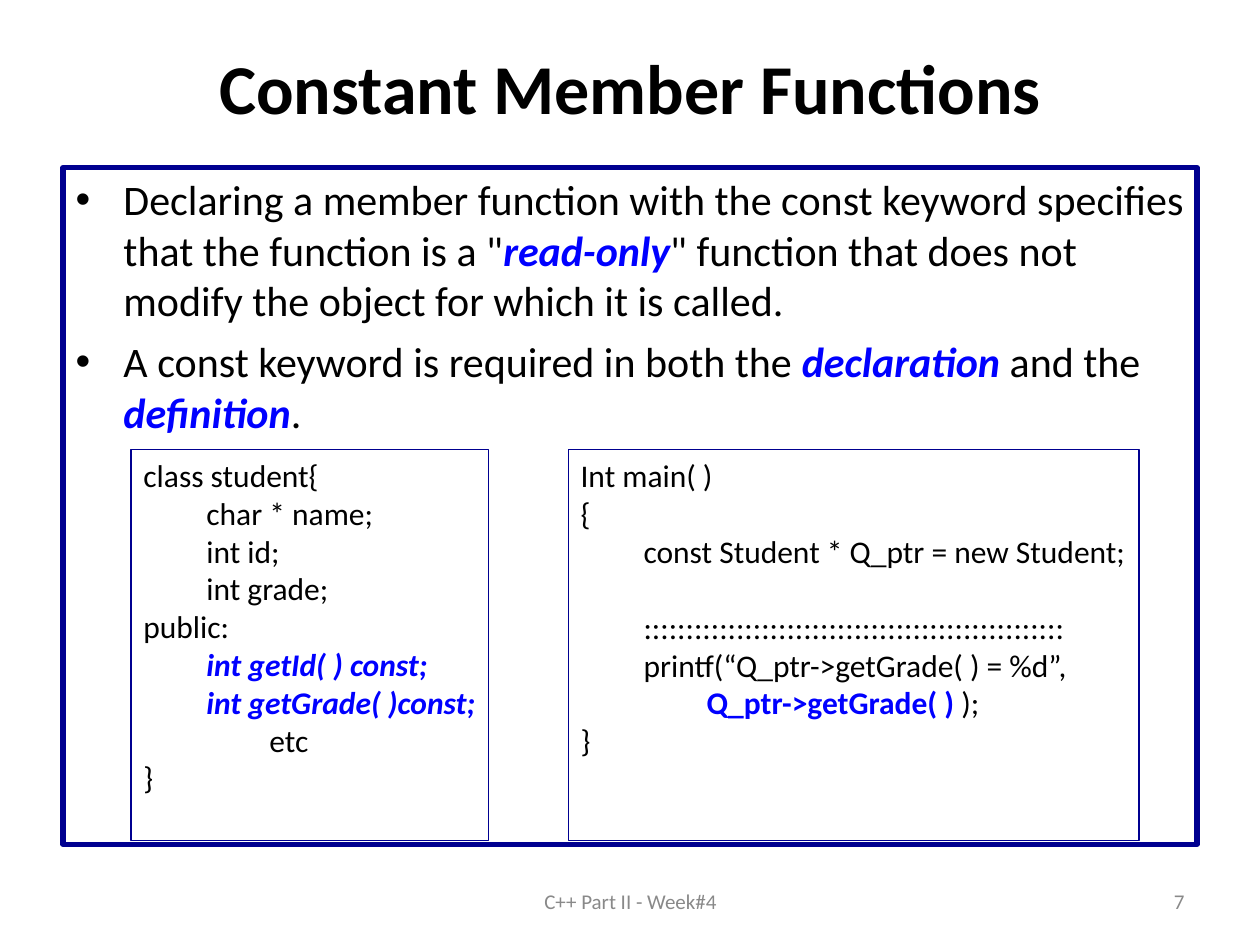
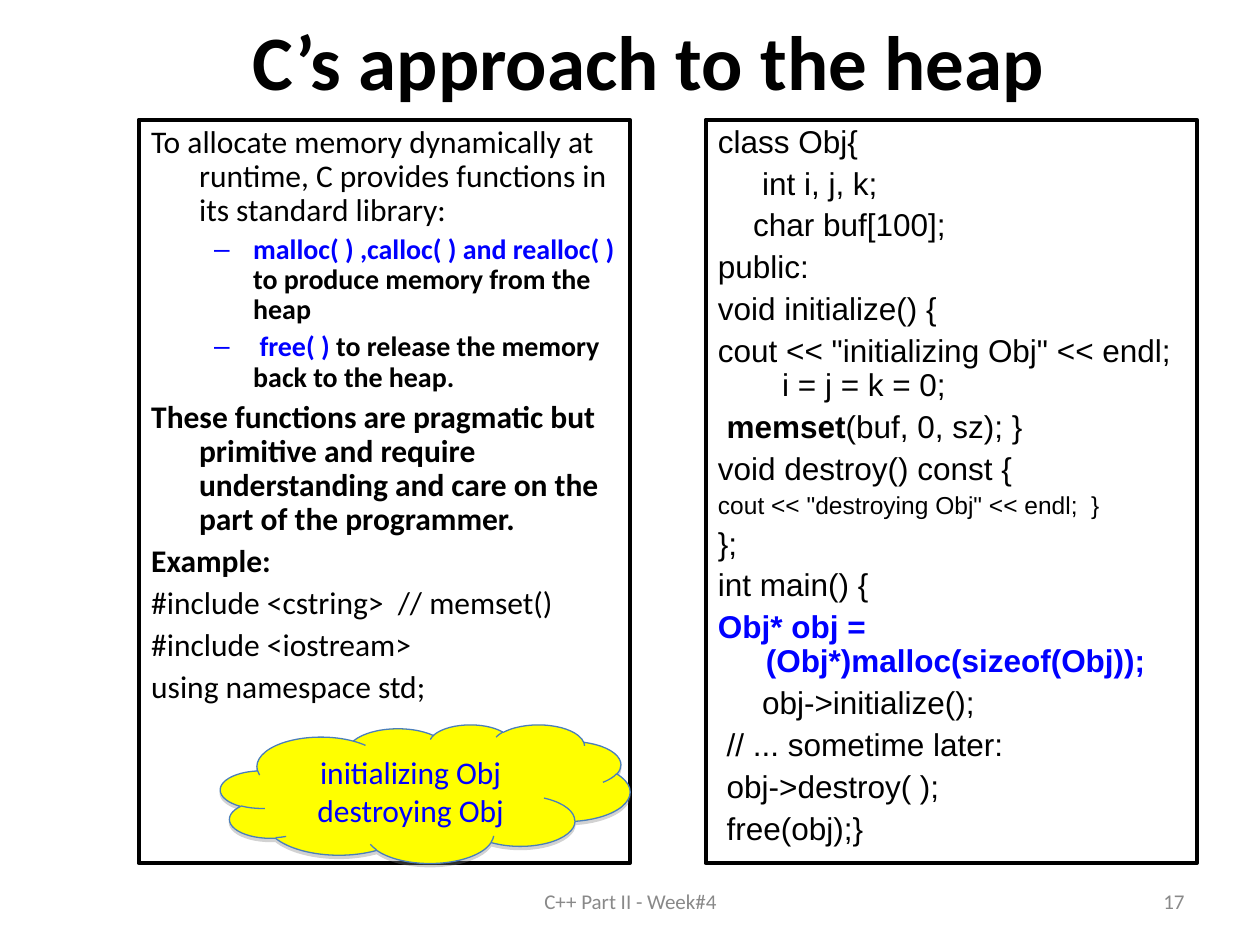
from dataclasses import dataclass

from lxml.etree import SubElement
from pptx import Presentation
from pptx.dml.color import RGBColor
from pptx.enum.shapes import MSO_SHAPE as Preset
from pptx.enum.text import MSO_ANCHOR as Anchor, MSO_AUTO_SIZE as AutoSize, PP_ALIGN as Align
from pptx.oxml import parse_xml
from pptx.oxml.ns import nsdecls, qn
from pptx.util import Inches, Pt

BLACK = RGBColor(0x00, 0x00, 0x00)
BLUE = RGBColor(0x00, 0x00, 0xFF)
NAVY = RGBColor(0x00, 0x00, 0x90)
GRAY = RGBColor(0x89, 0x89, 0x89)
YELLOW = RGBColor(0xFF, 0xFF, 0x00)
CLOUD_EDGE = RGBColor(0x4A, 0x7E, 0xBB)

TAB = 0.5
HANG = 0.38
FOOTER = "C++ Part II - Week#4"
TITLE_AND_CONTENT = 1


@dataclass
class Line:
    spans: list
    size: float = 18
    left: float = 0
    first: float = 0
    before: float = 0
    spacing: float = 1.0
    bullet: str = ""
    bullet_color: RGBColor = BLACK
    align: Align = Align.LEFT
    color: RGBColor = BLACK
    font: str = "Calibri"


def bullet_line(*spans):
    return Line(spans, size=24, left=HANG, first=-HANG, before=6, bullet="•")


def code_line(tabs, *spans, before=0):
    return Line(spans, left=tabs * TAB, before=before)


def hanging_line(*spans, start=0, size=18, before=4.5, font="Calibri"):
    return Line(spans, size=size, left=HANG, first=start - HANG,
                before=before, spacing=0.9, font=font)


def listing_line(*spans, **options):
    return hanging_line(*spans, font="Arial", **options)


def dash_line(*spans):
    return Line(spans, size=16, left=0.81, first=-0.31, before=4,
                spacing=0.9, bullet="–", bullet_color=BLUE)


class Deck:
    def __init__(self):
        self.deck = Presentation()
        self.deck.slide_width = Inches(10)
        self.deck.slide_height = Inches(7.5)
        self.page = None

    def add_page(self, title, place, size, number):
        layout = self.deck.slide_layouts[TITLE_AND_CONTENT]
        self.page = self.deck.slides.add_slide(layout)
        box = self.page.shapes.title
        self.move(box, place)
        self.add_lines(box, [Line([(title, "b")], size=size, align=Align.CENTER)], Anchor.MIDDLE)
        self.footer(FOOTER, 3.42, 3.17, Align.CENTER)
        self.footer(number, 7.17, 2.33, Align.RIGHT)

    def move(self, box, place):
        box.left, box.top, box.width, box.height = map(Inches, place)

    def outline(self, box, color, width):
        box.line.color.rgb = color
        box.line.width = Pt(width)

    def footer(self, text, left, width, align):
        box = self.page.shapes.add_textbox(*map(Inches, (left, 6.95, width, 0.4)))
        self.add_lines(box, [Line([text], size=12, align=align, color=GRAY)], Anchor.MIDDLE)

    def body(self, place, color, width, lines):
        box = self.page.placeholders[1]
        self.move(box, place)
        self.outline(box, color, width)
        self.add_lines(box, lines)

    def frame(self, place, color, width, lines, wrap=True):
        box = self.page.shapes.add_shape(Preset.RECTANGLE, *map(Inches, place))
        box.shadow.inherit = False
        box.fill.background()
        self.outline(box, color, width)
        self.add_lines(box, lines, wrap=wrap)

    def cloud(self, place, lines):
        box = self.page.shapes.add_shape(Preset.CLOUD, *map(Inches, place))
        box.fill.solid()
        box.fill.fore_color.rgb = YELLOW
        self.outline(box, CLOUD_EDGE, 0.75)
        box._element.spPr.append(parse_xml(
            f'<a:effectLst {nsdecls("a")}><a:outerShdw dist="{Pt(1.8)}" dir="5400000">'
            '<a:srgbClr val="808080"><a:alpha val="35000"/></a:srgbClr>'
            '</a:outerShdw></a:effectLst>'))
        self.add_lines(box, lines, Anchor.MIDDLE)

    def add_lines(self, box, lines, anchor=Anchor.TOP, wrap=True):
        frame = box.text_frame
        frame.auto_size = AutoSize.NONE
        frame.word_wrap = wrap
        frame.vertical_anchor = anchor
        for index, line in enumerate(lines):
            para = frame.add_paragraph() if index else frame.paragraphs[0]
            self.format_paragraph(para, line)
            for span in line.spans:
                self.add_span(para, span, line)

    def format_paragraph(self, para, line):
        para.alignment = line.align
        para.line_spacing = line.spacing
        para.space_before = Pt(line.before)
        properties = para._p.get_or_add_pPr()
        properties.set("marL", str(Inches(line.left)))
        properties.set("indent", str(Inches(line.first)))
        if line.bullet:
            color = SubElement(properties, qn("a:buClr"))
            SubElement(color, qn("a:srgbClr"), val=str(line.bullet_color))
            SubElement(properties, qn("a:buFont"), typeface="Arial")
            SubElement(properties, qn("a:buChar"), char=line.bullet)
        else:
            SubElement(properties, qn("a:buNone"))

    def add_span(self, para, span, line):
        text, style = (span, "") if isinstance(span, str) else span
        marks = style.split()
        run = para.add_run()
        run.text = text
        run.font.name = line.font
        run.font.size = Pt(line.size)
        run.font.bold = "b" in marks
        run.font.italic = "i" in marks
        run.font.color.rgb = BLUE if "blue" in marks else line.color


def constant_functions(deck):
    deck.add_page("Constant Member Functions", (0.5, 0.3, 9, 0.78), 40, "7")
    deck.body((0.5, 1.33, 9, 5.37), NAVY, 3, [
        bullet_line('Declaring a member function with the const keyword specifies '
                    'that the function is a "', ("read-only", "b i blue"),
                    '" function that does not modify the object for which it is called.'),
        bullet_line("A const keyword is required in both the ",
                    ("declaration ", "b i blue"), "and the ",
                    ("definition", "b i blue"), "."),
    ])
    deck.frame((1.04, 3.57, 2.84, 3.1), NAVY, 0.75, [
        code_line(0, "class student{"),
        code_line(1, "char * name;"),
        code_line(1, "int id;"),
        code_line(1, "int grade;"),
        code_line(0, "public:"),
        code_line(1, ("int getId( ) const;", "b i blue")),
        code_line(1, ("int getGrade( )const;", "b i blue")),
        code_line(2, "etc"),
        code_line(0, "}"),
    ], wrap=False)
    deck.frame((4.51, 3.57, 4.53, 3.1), NAVY, 0.75, [
        code_line(0, "Int main( )"),
        code_line(0, "{"),
        code_line(1, "const Student * Q_ptr = new Student;"),
        code_line(1, "::::::::::::::::::::::::::::::::::::::::::::::::::", before=22),
        code_line(1, "printf(“Q_ptr->getGrade( ) = %d”,"),
        code_line(2, ("Q_ptr->getGrade( ) ", "b blue"), ");"),
        code_line(0, "}"),
    ], wrap=False)


def heap_approach(deck):
    deck.add_page("C’s approach to the heap", (0.65, 0, 9, 0.95), 44, "17")
    deck.body((1.1, 0.95, 3.9, 5.9), BLACK, 2.25, [
        hanging_line("To allocate memory dynamically at runtime, C provides "
                     "functions in its standard library:"),
        dash_line(("malloc( ) ,calloc( ) and realloc( )", "b blue"),
                  (" to produce memory from the heap", "b")),
        dash_line((" free( ) ", "b blue"),
                  ("to release the memory back to the heap.", "b")),
        hanging_line(("These functions are pragmatic but primitive and require "
                      "understanding and care on the part of the programmer.", "b")),
        hanging_line(("Example:", "b")),
        hanging_line("#include <cstring>  // memset()"),
        hanging_line("#include <iostream>"),
        hanging_line("using namespace std;"),
    ])
    deck.frame((5.6, 0.95, 3.9, 5.9), BLACK, 2.25, [
        listing_line("class Obj{"),
        listing_line("int i, j, k;", start=0.35),
        listing_line("char buf[100];", start=0.28),
        listing_line("public:"),
        listing_line("void initialize() {"),
        listing_line('cout << "initializing Obj" << endl;'),
        listing_line("i = j = k = 0;", start=0.51, before=0),
        listing_line(" ", ("memset", "b"), "(buf, 0, sz); }"),
        listing_line("void destroy() const {"),
        listing_line('cout << "destroying Obj" << endl;  }', size=14, before=3.5),
        listing_line("};"),
        listing_line("int main() {"),
        listing_line(("Obj* obj = (Obj*)malloc(sizeof(Obj));", "b blue")),
        listing_line("obj->initialize();", start=0.35),
        listing_line(" // ... sometime later:"),
        listing_line(" obj->destroy( );"),
        listing_line(" free(obj);}"),
    ])
    deck.cloud((1.75, 5.75, 3.25, 1.1), [
        Line([text], align=Align.CENTER, color=BLUE)
        for text in ("initializing Obj", "destroying Obj")
    ])


def main():
    deck = Deck()
    constant_functions(deck)
    heap_approach(deck)
    deck.deck.save("out.pptx")


if __name__ == "__main__":
    main()
